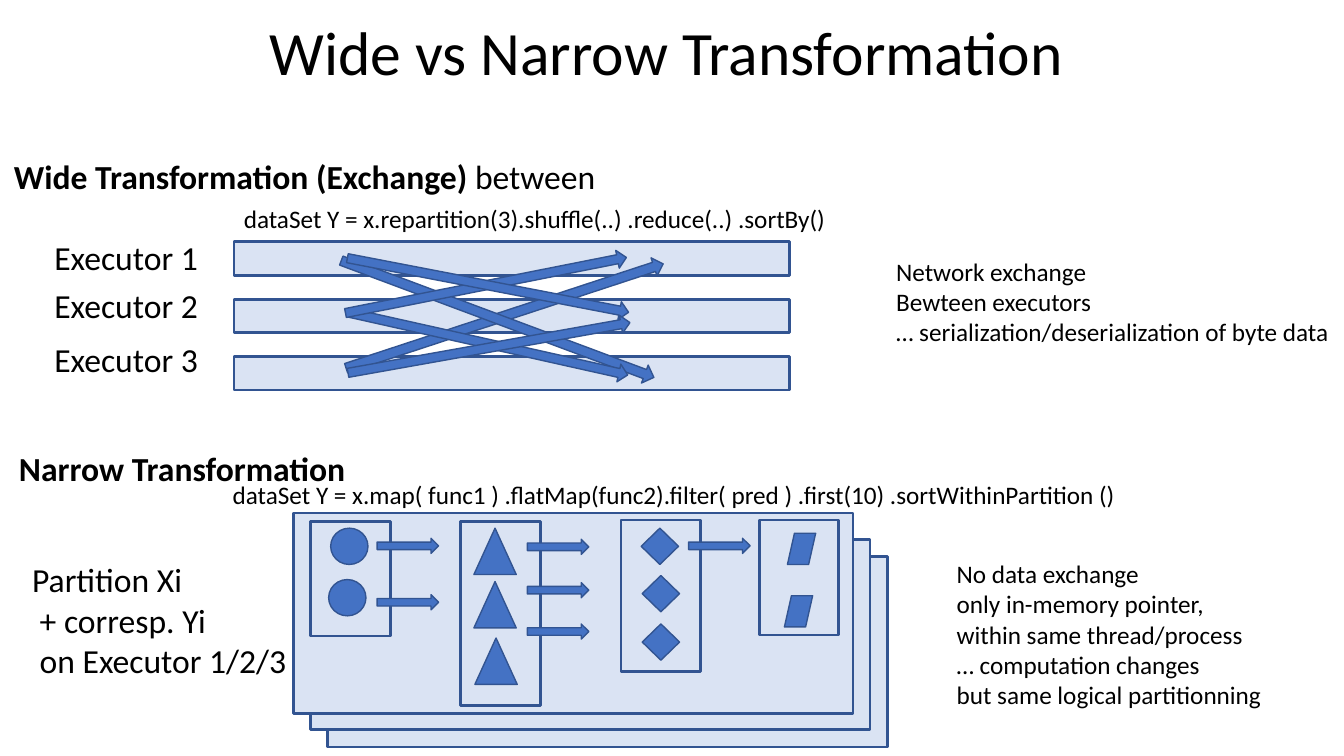
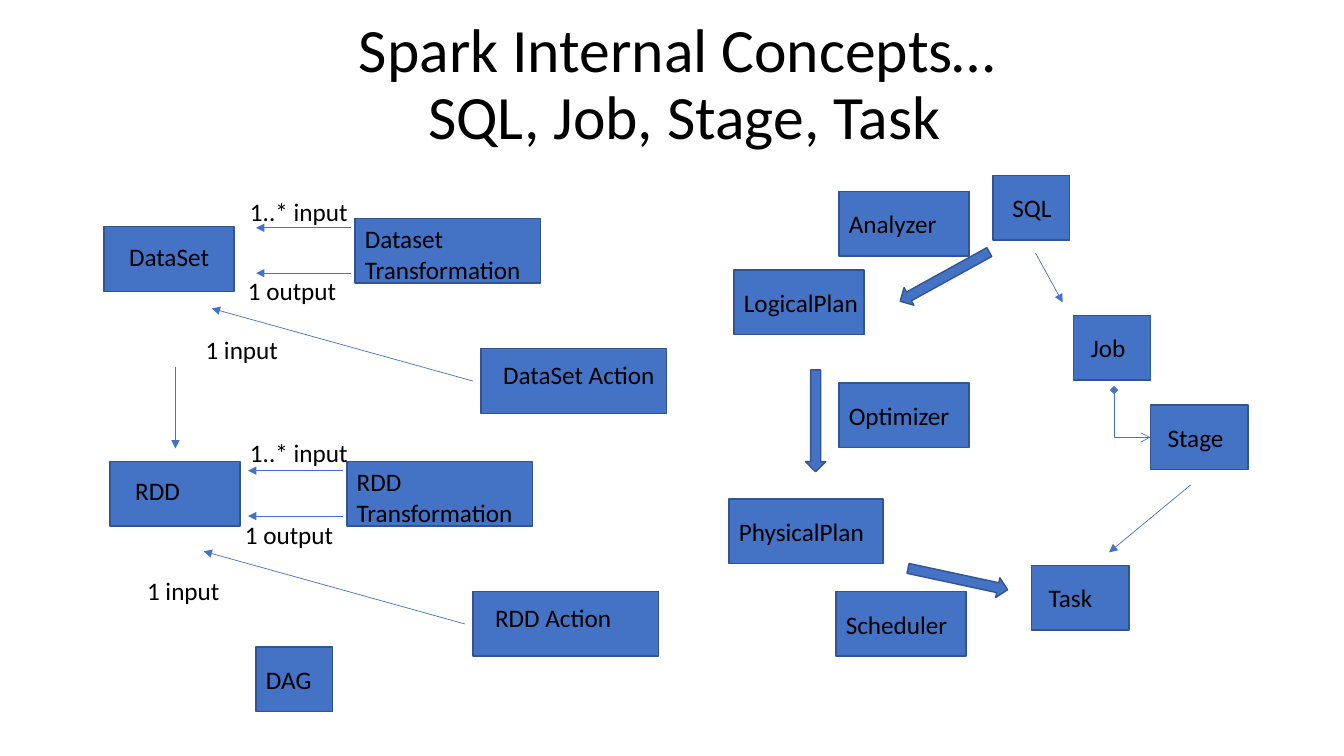
import lxml.etree
import pptx
import pptx.dml.color
import pptx.enum.shapes
import pptx.enum.text
import pptx.oxml.ns
import pptx.util

FONT = "Calibri"
BLACK, WHITE = "000000", "FFFFFF"
BLUE, EDGE, PALE = "4472C4", "325491", "DAE3F3"
SHAPE = pptx.enum.shapes.MSO_SHAPE
CONNECTOR = pptx.enum.shapes.MSO_CONNECTOR
ALIGN = pptx.enum.text.PP_ALIGN
ANCHOR = pptx.enum.text.MSO_ANCHOR


def px(n):
    """One px is a hundredth of an inch."""
    return pptx.util.Emu(n * 9144)


def rgb(color):
    return pptx.dml.color.RGBColor.from_string(color)


def qn(tag):
    return pptx.oxml.ns.qn(tag)


# Shared building blocks
def style_text(tf, size, bold=False, align=ALIGN.LEFT):
    for p in tf.paragraphs:
        p.alignment = align
        for r in p.runs:
            r.font.name = FONT
            r.font.size = pptx.util.Pt(size)
            r.font.bold = bold
            r.font.color.rgb = rgb(BLACK)


def write(tf, text, size, bold=False, dx=0, dy=0):
    """Top-left text, shifted by dx, dy from the usual inset."""
    tf.word_wrap = True
    tf.vertical_anchor = ANCHOR.TOP
    tf.margin_left, tf.margin_top = px(10 + dx), px(5 + dy)
    tf.margin_right = tf.margin_bottom = 0
    tf.text = text
    style_text(tf, size, bold)


def add_title(prs, text, x, y, w, h):
    s = prs.slides.add_slide(prs.slide_layouts[5])
    s.background.fill.solid()
    s.background.fill.fore_color.rgb = rgb(WHITE)
    title = s.shapes.title
    title.left, title.top, title.width, title.height = map(px, (x, y, w, h))
    tf = title.text_frame
    tf.auto_size = pptx.enum.text.MSO_AUTO_SIZE.NONE
    tf.word_wrap = True
    tf.vertical_anchor = ANCHOR.MIDDLE
    tf.text = text
    style_text(tf, 44, align=ALIGN.CENTER)
    tf.paragraphs[0].line_spacing = 0.9
    return s


def add_label(s, text, x, y, w, h=40, size=18, bold=False):
    tb = s.shapes.add_textbox(px(x), px(y), px(w), px(h))
    write(tb.text_frame, text, size, bold)
    return tb


def add_shape(s, kind, x, y, w, h, fill=BLUE, line=1, rotation=0):
    sp = s.shapes.add_shape(kind, px(x), px(y), px(w), px(h))
    sp.shadow.inherit = False
    sp.rotation = rotation
    if fill:
        sp.fill.solid()
        sp.fill.fore_color.rgb = rgb(fill)
    else:
        sp.fill.background()
    sp.line.color.rgb = rgb(EDGE)
    sp.line.width = pptx.util.Pt(line)
    return sp


def add_box(s, text, x, y, w, dx=0, dy=12):
    sp = add_shape(s, SHAPE.RECTANGLE, x, y, w, 64)
    write(sp.text_frame, text, 18, dx=dx, dy=dy)


def add_line(s, x1, y1, x2, y2, kind=CONNECTOR.STRAIGHT, head=None, tail="triangle"):
    c = s.shapes.add_connector(kind, px(x1), px(y1), px(x2), px(y2))
    c.line.color.rgb = rgb(BLUE)
    c.line.width = pptx.util.Pt(0.5)
    ln = c._element.spPr.find(qn("a:ln"))
    for tag, end in (("a:headEnd", head), ("a:tailEnd", tail)):
        if end:
            lxml.etree.SubElement(ln, qn(tag), type=end)
    lxml.etree.SubElement(c._element.spPr, qn("a:effectLst"))
    return c


def add_elbow(s, x1, y1, x2, y2):
    """Down, then right, from a diamond to an open arrow."""
    c = add_line(s, x1, y1, x2, y2, CONNECTOR.ELBOW, "diamond", "arrow")
    w, h = x2 - x1, y2 - y1
    c.left, c.top = px((x1 + x2 - h) / 2), px((y1 + y2 - w) / 2)
    c.width, c.height = px(h), px(w)
    xfrm = c._element.spPr.find(qn("a:xfrm"))
    xfrm.set("rot", str(270 * 60000))
    xfrm.set("flipH", "1")
    c._element.spPr.find(qn("a:prstGeom")).set("prst", "bentConnector2")


# Slide 1 regions
def wide_region(s, x, y):
    heading = add_label(s, "Wide Transformation (Exchange) ", x, y, 603, 50, 24, True)
    r = heading.text_frame.paragraphs[0].add_run()
    r.text = "between"
    style_text(heading.text_frame, 24)
    heading.text_frame.paragraphs[0].runs[0].font.bold = True

    # Executors and their bars
    for i, dy in enumerate((80, 128, 181)):
        add_label(s, f"Executor {i + 1}", x + 40, y + dy, 166, 50, 24)
        add_shape(s, SHAPE.RECTANGLE, x + 228, y + 90 + 57 * i, 551, 33, PALE, 2)

    # Crossing exchange arrows
    for dx, dy, w, h, rotation in (
        (331, 154, 331, 19, 341.8),
        (324, 157, 331, 19, 20.5),
        (338, 182, 284, 18, 12.6),
        (336, 124, 284, 18, 348.8),
        (338, 124, 284, 18, 10.9),
        (339, 186, 284, 18, 349.9),
    ):
        add_shape(s, SHAPE.RIGHT_ARROW, x + dx, y + dy, w, h, rotation=rotation)

    add_label(s, "dataSet Y = x.repartition(3).shuffle(..) .reduce(..) .sortBy()",
              x + 228, y + 47, 604)
    add_label(s, "Network exchange\nBewteen executors\n"
              "… serialization/deserialization of byte data", x + 875, y + 99, 454, 131)


def partition_sheets(s, x, y):
    for dx, dy, h in ((34, 43, 189), (17, 26, 189), (0, 0, 199)):
        add_shape(s, SHAPE.RECTANGLE, x + dx, y + dy, 555, h, PALE, 2)

    # Each column: left, top, height, symbol, symbol size, symbols, arrows out
    columns = (
        (17, 8, 114, SHAPE.OVAL, (37, 36), ((20, 7), (18, 58)), ((66, 17), (66, 73))),
        (166, 8, 183, SHAPE.ISOSCELES_TRIANGLE, (42, 46),
         ((13, 7), (13, 60), (14, 116)), ((66, 18), (66, 61), (66, 102))),
        (325, 7, 150, SHAPE.DIAMOND, (37, 36),
         ((20, 8), (21, 55), (21, 103)), ((67, 18),)),
        (462, 7, 114, SHAPE.PARALLELOGRAM, (28, 31), ((28, 13), (25, 75)), ()),
    )
    for left, top, h, kind, size, symbols, arrows in columns:
        cx, cy = x + left, y + top
        add_shape(s, SHAPE.RECTANGLE, cx, cy, 79, h, None, 2)
        for dx, dy in symbols:
            add_shape(s, kind, cx + dx, cy + dy, *size)
        for dx, dy in arrows:
            add_shape(s, SHAPE.RIGHT_ARROW, cx + dx, cy + dy, 61, 15)


def narrow_region(s, x, y):
    add_label(s, "Narrow Transformation", x, y, 347, 50, 24, True)
    partition_sheets(s, x + 282, y + 70)
    add_label(s, "dataSet Y = x.map( func1 ) .flatMap(func2).filter( pred ) .first(10) "
              ".sortWithinPartition ()", x + 212, y + 32, 917)
    add_label(s, "Partition Xi\n + corresp. Yi\n on Executor 1/2/3",
              x + 13, y + 111, 274, 131, 24)
    add_label(s, "No data exchange\nonly in-memory pointer,\nwithin same thread/process\n"
              "… computation changes\nbut same logical partitionning",
              x + 930, y + 110, 326, 162)


# Slide 2 regions
def data_region(s, x, y, name, prefix, source, name_dx, labels):
    """Placed by the transformation box; source and labels are offsets from it."""
    add_box(s, name, x + source[0], y + source[1], 129, name_dx, 9)
    add_box(s, f"{prefix}\nTransformation", x, y, 184, dy=0)
    for dy in (9, 54):
        add_line(s, x - 4, y + dy, x - 98, y + dy)
    add_box(s, f"{name} Action", x + 125, y + 129, 184, 12, 6)
    add_line(s, x + 117, y + 161, x - 142, y + 89)
    for text, (dx, dy) in zip(("1..* input", "1 output", "1 input"), labels):
        add_label(s, text, x + dx, y + dy, 122)


def planning_region(s, x, y):
    # Boxes: text, left, top, width, text shift
    for text, dx, dy, w, shift in (
        ("LogicalPlan", 5, 94, 129, 0),
        ("PhysicalPlan", 0, 321, 153, 0),
        ("Analyzer", 109, 16, 129, 0),
        ("Optimizer", 109, 206, 129, 0),
        ("Scheduler", 106, 413, 129, 0),
        ("SQL", 262, 0, 76, 9),
        ("Job", 342, 139, 76, 7),
        ("Stage", 418, 228, 97, 7),
        ("Task", 300, 387, 97, 7),
    ):
        add_box(s, text, x + dx, y + dy, w, shift)

    # Links from SQL down to task
    add_line(s, x + 304, y + 77, x + 331, y + 126)
    add_elbow(s, x + 382, y + 213, x + 418, y + 260)
    add_line(s, x + 458, y + 307, x + 377, y + 374)

    # Block arrows between plans
    for dx, dy, rotation in ((204, 50, 61.1), (76, 193, 0), (217, 350, 282.1)):
        add_shape(s, SHAPE.DOWN_ARROW, x + dx, y + dy, 20, 101, rotation=rotation)


def main():
    prs = pptx.Presentation()
    prs.slide_width, prs.slide_height = px(1333), px(750)

    s = add_title(prs, "Wide vs Narrow Transformation", 86, -17, 1150, 145)
    wide_region(s, 4, 150)
    narrow_region(s, 9, 439)

    s = add_title(prs, "Spark Internal Concepts… \vSQL, Job, Stage, Task", 60, 13, 1238, 145)
    data_region(s, 352, 217, "DataSet", "Dataset", (-249, 8), 15,
                ((-114, -27), (-116, 51), (-158, 110)))
    data_region(s, 344, 458, "RDD", "RDD", (-235, 0), 15,
                ((-106, -29), (-111, 52), (-208, 108)))
    add_line(s, 174, 364, 174, 445)
    add_box(s, "DAG", 254, 642, 76)
    planning_region(s, 723, 174)

    prs.save("out.pptx")


if __name__ == "__main__":
    main()
